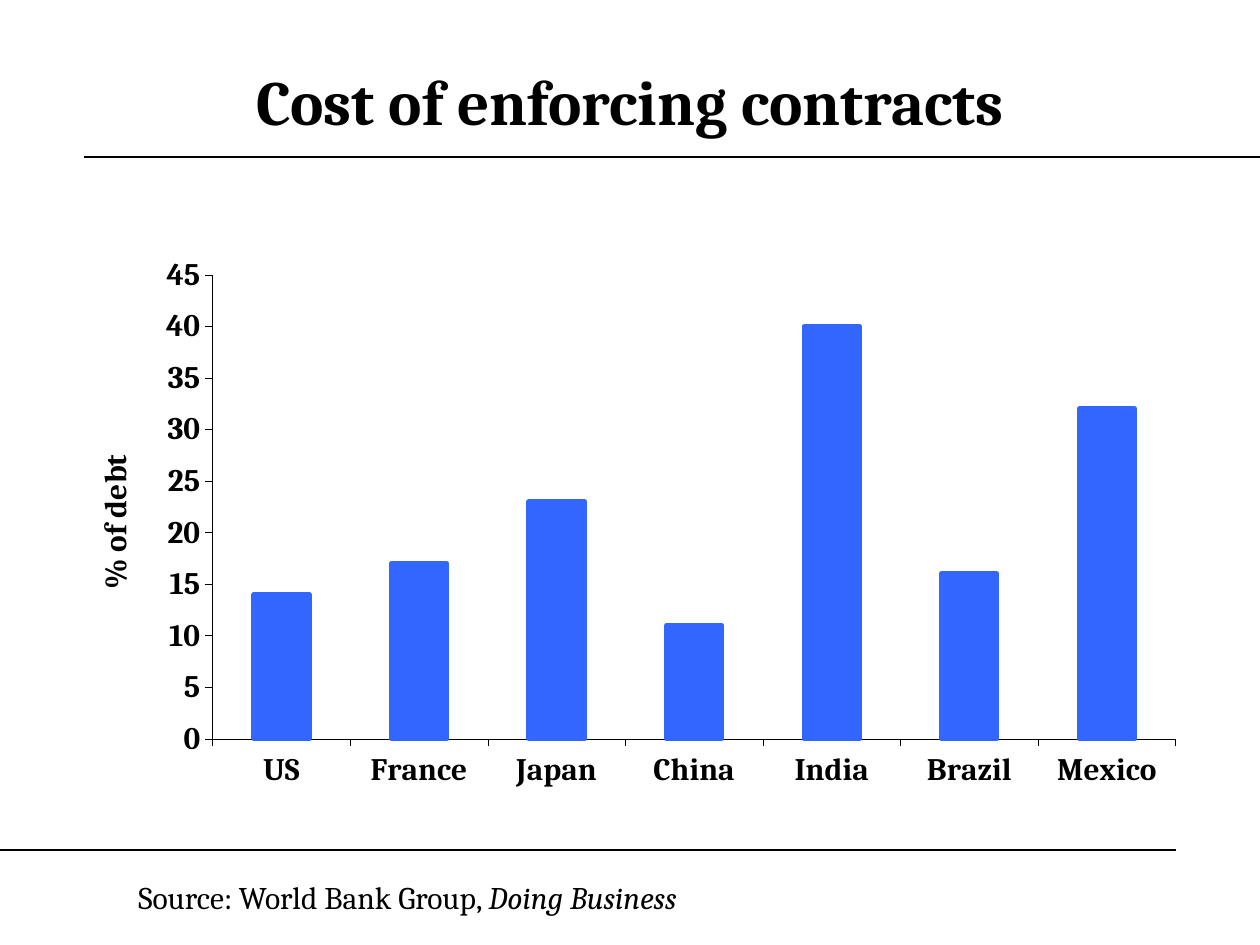
from lxml import etree
from pptx import Presentation
from pptx.chart.data import CategoryChartData
from pptx.dml.color import RGBColor
from pptx.enum.chart import XL_CHART_TYPE, XL_TICK_MARK
from pptx.enum.shapes import MSO_CONNECTOR
from pptx.enum.text import MSO_ANCHOR, PP_ALIGN
from pptx.oxml import parse_xml
from pptx.oxml.ns import nsdecls, qn
from pptx.util import Pt

COLUMNS = XL_CHART_TYPE.COLUMN_CLUSTERED
STRAIGHT = MSO_CONNECTOR.STRAIGHT
OUTSIDE = XL_TICK_MARK.OUTSIDE
NO_TICK = XL_TICK_MARK.NONE
MIDDLE = MSO_ANCHOR.MIDDLE
CENTER = PP_ALIGN.CENTER

EMU_PER_PX = 914400 / 126
TITLE_ONLY = 5
BLACK = "000000"
BLUE = "3366FF"

TITLE_FORMAT = {"name": "Cambria", "size": Pt(36), "bold": True}
SOURCE_FORMAT = {"name": "Cambria", "size": Pt(18), "bold": False}
CHART_FORMAT = {"name": "Cambria", "size": Pt(17.9), "bold": True}

COSTS = {
    "US": 14,
    "France": 17,
    "Japan": 23,
    "China": 11,
    "India": 40,
    "Brazil": 16,
    "Mexico": 32,
}
PLOT_AREA = {"x": 0.127, "y": 0.077, "w": 0.863, "h": 0.762}


def px(*lengths):
    return [round(length * EMU_PER_PX) for length in lengths]


def color(value):
    return RGBColor.from_string(value)


def apply_format(target, values):
    for name, value in values.items():
        setattr(target, name, value)


class SlideBuilder:
    def __init__(self, presentation):
        self.slide = presentation.slides.add_slide(presentation.slide_layouts[TITLE_ONLY])
        self.ink = color(BLACK)

    def style_font(self, font, values):
        apply_format(font, values)
        font.color.rgb = self.ink

    def style_line(self, line, width, line_color=BLACK):
        line.color.rgb = color(line_color)
        line.width = Pt(width)

    def title(self, text, box):
        shape = self.slide.shapes.title
        apply_format(shape, dict(zip(("left", "top", "width", "height"), px(*box))))
        shape.text_frame.vertical_anchor = MIDDLE
        paragraph = shape.text_frame.paragraphs[0]
        paragraph.alignment = CENTER
        run = paragraph.add_run()
        run.text = text
        self.style_font(run.font, TITLE_FORMAT)

    def rule(self, left, right, y):
        connector = self.slide.shapes.add_connector(STRAIGHT, *px(left, y, right, y))
        self.style_line(connector.line, 0.75)
        etree.SubElement(connector._element.spPr, qn("a:effectLst"))

    def text(self, runs, box):
        shape = self.slide.shapes.add_textbox(*px(*box))
        shape.text_frame.word_wrap = True
        paragraph = shape.text_frame.paragraphs[0]
        for text, italic in runs:
            run = paragraph.add_run()
            run.text = text
            self.style_font(run.font, {**SOURCE_FORMAT, "italic": italic})

    def column_chart(self, values, axis_title, box):
        data = CategoryChartData()
        data.categories = list(values)
        data.add_series("Series 1", list(values.values()))
        chart = self.slide.shapes.add_chart(COLUMNS, *px(*box), data).chart
        apply_format(chart, {"has_legend": False, "has_title": False})
        self.style_font(chart.font, CHART_FORMAT)

        plot = chart.plots[0]
        apply_format(plot, {"vary_by_categories": False, "gap_width": 150})
        series = plot.series[0]
        series.format.fill.solid()
        series.format.fill.fore_color.rgb = color(BLUE)
        self.style_line(series.format.line, 3, BLUE)

        for axis in (chart.category_axis, chart.value_axis):
            apply_format(axis, {
                "has_major_gridlines": False,
                "major_tick_mark": OUTSIDE,
                "minor_tick_mark": NO_TICK,
            })
            self.style_line(axis.format.line, 0.25)
            self.style_font(axis.tick_labels.font, CHART_FORMAT)

        value_axis = chart.value_axis
        apply_format(value_axis, {"minimum_scale": 0, "maximum_scale": 45, "major_unit": 5})
        paragraph = value_axis.axis_title.text_frame.paragraphs[0]
        run = paragraph.add_run()
        run.text = axis_title
        self.style_font(run.font, CHART_FORMAT)
        self.place_plot(chart)

    def place_plot(self, chart):
        modes = "".join(f'<c:{side}Mode val="edge"/>' for side in "xy")
        sizes = "".join(f'<c:{side} val="{share}"/>' for side, share in PLOT_AREA.items())
        layout = parse_xml(
            f'<c:layout {nsdecls("c")}><c:manualLayout><c:layoutTarget val="inner"/>'
            f"{modes}{sizes}</c:manualLayout></c:layout>"
        )
        plot_area = chart._chartSpace.chart.plotArea
        for existing in plot_area.findall(qn("c:layout")):
            plot_area.remove(existing)
        plot_area.insert(0, layout)


def main():
    presentation = Presentation()
    presentation.slide_width, presentation.slide_height = px(1260, 945)
    builder = SlideBuilder(presentation)
    builder.rule(84, 1260, 157)
    builder.rule(0, 1176, 850)
    builder.title("Cost of enforcing contracts", (63, 42, 1134, 116))
    builder.column_chart(COSTS, "% of debt", (71, 228, 1116, 609))
    builder.text(
        [("Source: World Bank Group, ", False), ("Doing Business", True)],
        (126, 872, 809, 50),
    )
    presentation.save("out.pptx")


if __name__ == "__main__":
    main()
